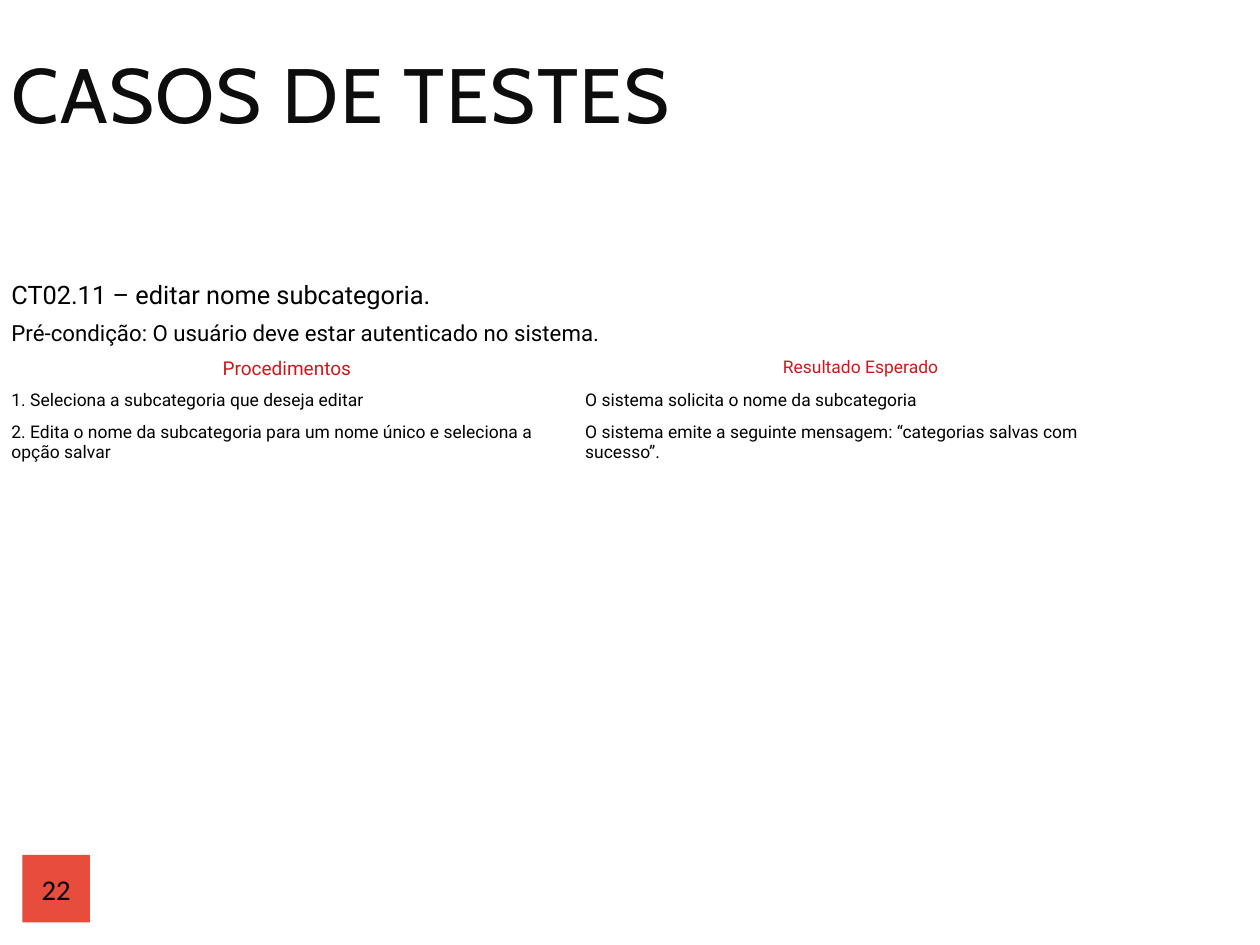
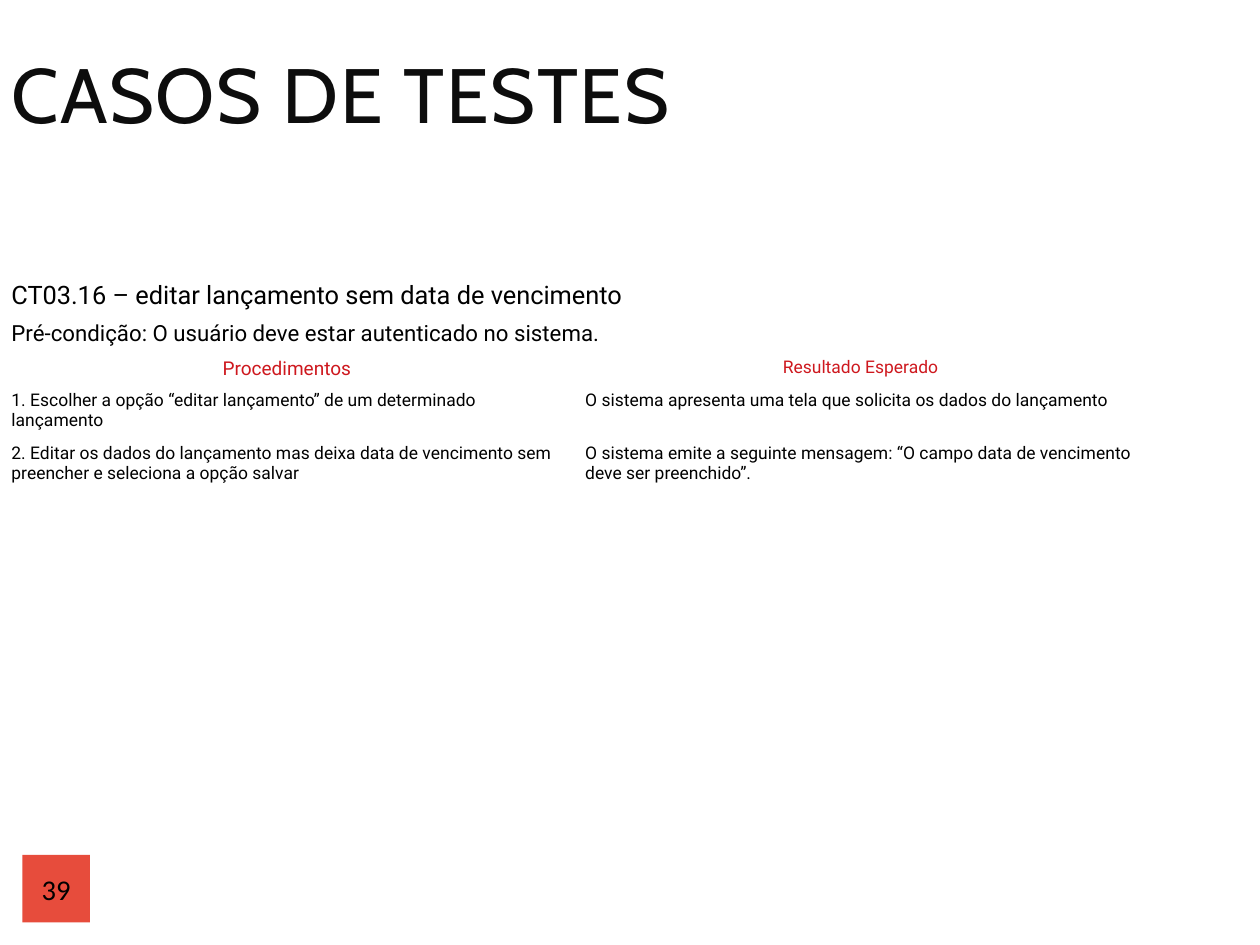
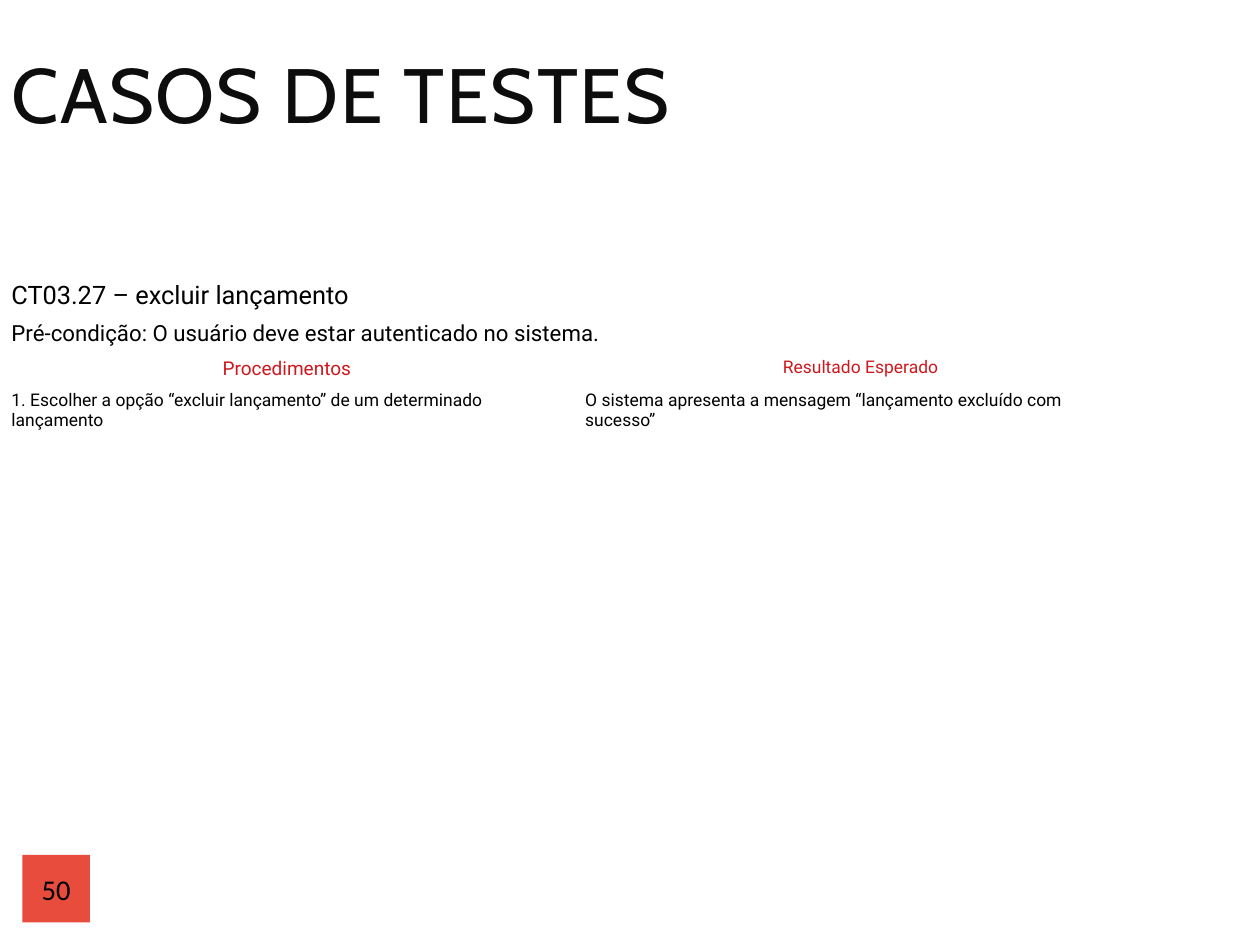
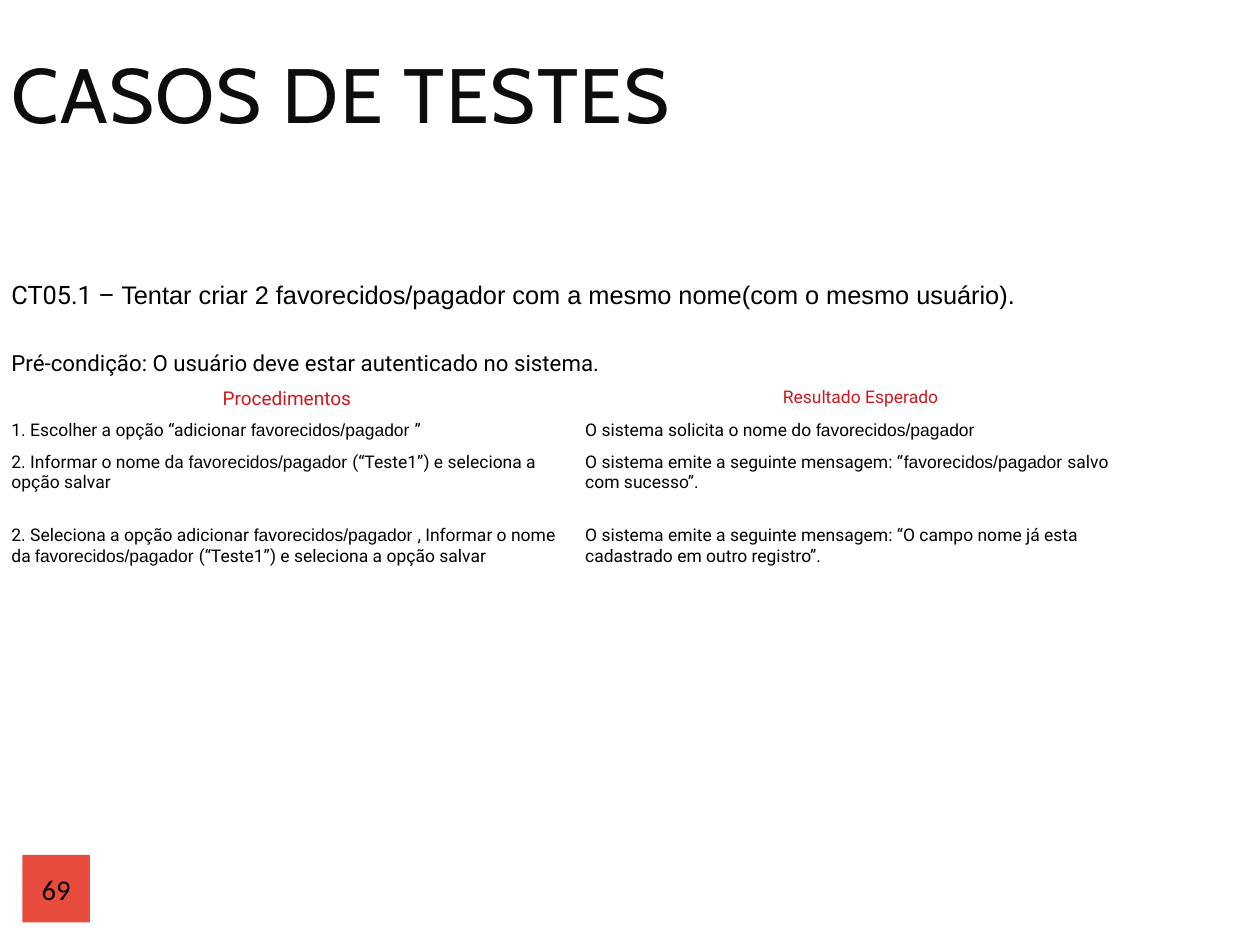
from pptx import Presentation
from pptx.dml.color import RGBColor
from pptx.enum.shapes import MSO_SHAPE as Preset
from pptx.enum.text import MSO_ANCHOR as Anchor, PP_ALIGN as Align
from pptx.util import Cm, Pt

# Lengths are centimetres; boxes are left, top, width, height.
SLIDE_WIDTH, SLIDE_HEIGHT = 28, 21
TITLE_BOX = (0, 1, 26, 2.5)
NUMBER_BOX = (0.5, 19, 1.5, 1.5)
CASE_BOX = (0, 6.12, 25.5, 4.9)

COLORS = {
    "background": "FFFFFF",
    "title": "0D0D0D",
    "text": "000000",
    "heading": "CE181E",
    "number": "E74C3C",
}
FONTS = {"title": "Cabin", "body": "Roboto", "alternate": "Arial", "number": "Calibri"}

TITLE = "CASOS DE TESTES"
PRECONDITION = "Pré-condição: O usuário deve estar autenticado no sistema."
HEADINGS = (("Procedimentos", 12), ("Resultado Esperado", 11))
PAYEE = "favorecidos/pagador "

CELL_BOTTOM = 0.08
STEP_PADDING = 0.25
STEP_LINE = 0.46
NAME_ROW = 0.87
TALL_NAME_ROW = 1.55
PRECONDITION_ROW = 0.81
HEADING_ROW = 0.73

# A text is a string, or a tuple of runs that alternate body and alternate font.
# A step is (procedure, expected result, lines of row height).
CASES = [
    {
        "number": 22,
        "name": "CT02.11 – editar nome subcategoria.",
        "name_row": NAME_ROW,
        "steps": [
            ("1. Seleciona a subcategoria que deseja editar",
             "O sistema solicita o nome da subcategoria", 1),
            ("2. Edita o nome da subcategoria para um nome único e seleciona a opção salvar",
             "O sistema emite a seguinte mensagem: “categorias salvas com sucesso”.", 2),
        ],
    },
    {
        "number": 39,
        "name": "CT03.16 – editar lançamento sem data de vencimento",
        "name_row": NAME_ROW,
        "steps": [
            ("1. Escolher a opção “editar lançamento” de um determinado lançamento",
             "O sistema apresenta uma tela que solicita os dados do lançamento", 2),
            ("2. Editar os dados do lançamento mas deixa data de vencimento sem "
             "preencher e seleciona a opção salvar",
             "O sistema emite a seguinte mensagem: “O campo data de vencimento "
             "deve ser preenchido”.", 2),
        ],
    },
    {
        "number": 50,
        "name": "CT03.27 – excluir lançamento",
        "name_row": NAME_ROW,
        "steps": [
            ("1. Escolher a opção “excluir lançamento” de um determinado lançamento",
             "O sistema apresenta a mensagem “lançamento excluído com sucesso”", 2),
        ],
    },
    {
        "number": 69,
        "name": ("CT05.1 – ",
                 "Tentar criar 2 favorecidos/pagador com a mesmo nome(com o mesmo usuário)."),
        "name_row": TALL_NAME_ROW,
        "steps": [
            (("1. Escolher a opção “adicionar ", PAYEE, "”"),
             ("O sistema solicita o nome do ", PAYEE.strip()), 1),
            (("2. Informar o nome da ", PAYEE, "(“Teste1”) e seleciona a opção salvar"),
             ("O sistema emite a seguinte mensagem: “", PAYEE, "salvo com sucesso”."), 3),
            (("2. Seleciona a opção adicionar ", PAYEE, ", Informar o nome da ", PAYEE,
              "(“Teste1”) e seleciona a opção salvar"),
             "O sistema emite a seguinte mensagem: “O campo nome já esta "
             "cadastrado em outro registro”.", 2),
        ],
    },
]


def centimetres(box):
    return [Cm(length) for length in box]


def write(frame, text, size, color="text", font="body", align=Align.LEFT):
    """Fill the first paragraph of a text frame and return it."""
    frame.word_wrap = True
    paragraph = frame.paragraphs[0]
    paragraph.alignment = align
    paragraph.font.size = Pt(size)
    paragraph.font.name = FONTS[font]
    paragraph.font.color.rgb = RGBColor.from_string(COLORS[color])
    for index, part in enumerate((text,) if isinstance(text, str) else text):
        run = paragraph.add_run()
        run.text = part
        if index % 2:
            run.font.name = FONTS["alternate"]
    return paragraph


def add_number(slide, box, number):
    square = slide.shapes.add_shape(Preset.RECTANGLE, *centimetres(box))
    square.shadow.inherit = False
    square.fill.solid()
    square.fill.fore_color.rgb = RGBColor.from_string(COLORS["number"])
    square.line.fill.background()
    frame = square.text_frame
    frame.margin_left = frame.margin_top = frame.margin_right = frame.margin_bottom = 0
    frame.vertical_anchor = Anchor.MIDDLE
    write(frame, str(number), 18, font="number", align=Align.CENTER)


def add_title(slide, box):
    frame = slide.shapes.add_textbox(*centimetres(box)).text_frame
    frame.vertical_anchor = Anchor.MIDDLE
    paragraph = write(frame, TITLE, 48.5, "title", "title")
    paragraph.line_spacing = 0.8
    paragraph.runs[0]._r.get_or_add_rPr().set("spc", "110")


def add_case_table(slide, box, case):
    steps = case["steps"]
    heights = [case["name_row"], PRECONDITION_ROW, HEADING_ROW]
    heights += [STEP_PADDING + STEP_LINE * lines for *_, lines in steps]
    left, top, width, _ = box
    table = slide.shapes.add_table(
        len(heights), 2, *centimetres((left, top, width, sum(heights)))).table
    table.first_row = table.horz_banding = False
    for row, height in zip(table.rows, heights):
        row.height = Cm(height)
    for column in table.columns:
        column.width = Cm(width / 2)
    for cell in table.iter_cells():
        cell.fill.background()
        cell.margin_bottom = Cm(CELL_BOTTOM)

    for row, (text, size) in enumerate(((case["name"], 16), (PRECONDITION, 14))):
        table.cell(row, 0).merge(table.cell(row, 1))
        write(table.cell(row, 0).text_frame, text, size)
    for column, (text, size) in enumerate(HEADINGS):
        write(table.cell(2, column).text_frame, text, size, "heading", align=Align.CENTER)
    for row, (*texts, _) in enumerate(steps, start=3):
        for column, text in enumerate(texts):
            write(table.cell(row, column).text_frame, text, 11)


def add_case_slide(presentation, case):
    slide = presentation.slides.add_slide(presentation.slide_layouts[6])
    slide.background.fill.solid()
    slide.background.fill.fore_color.rgb = RGBColor.from_string(COLORS["background"])
    add_number(slide, NUMBER_BOX, case["number"])
    add_title(slide, TITLE_BOX)
    add_case_table(slide, CASE_BOX, case)


def main():
    presentation = Presentation()
    presentation.slide_width = Cm(SLIDE_WIDTH)
    presentation.slide_height = Cm(SLIDE_HEIGHT)
    for case in CASES:
        add_case_slide(presentation, case)
    presentation.save("out.pptx")


if __name__ == "__main__":
    main()
